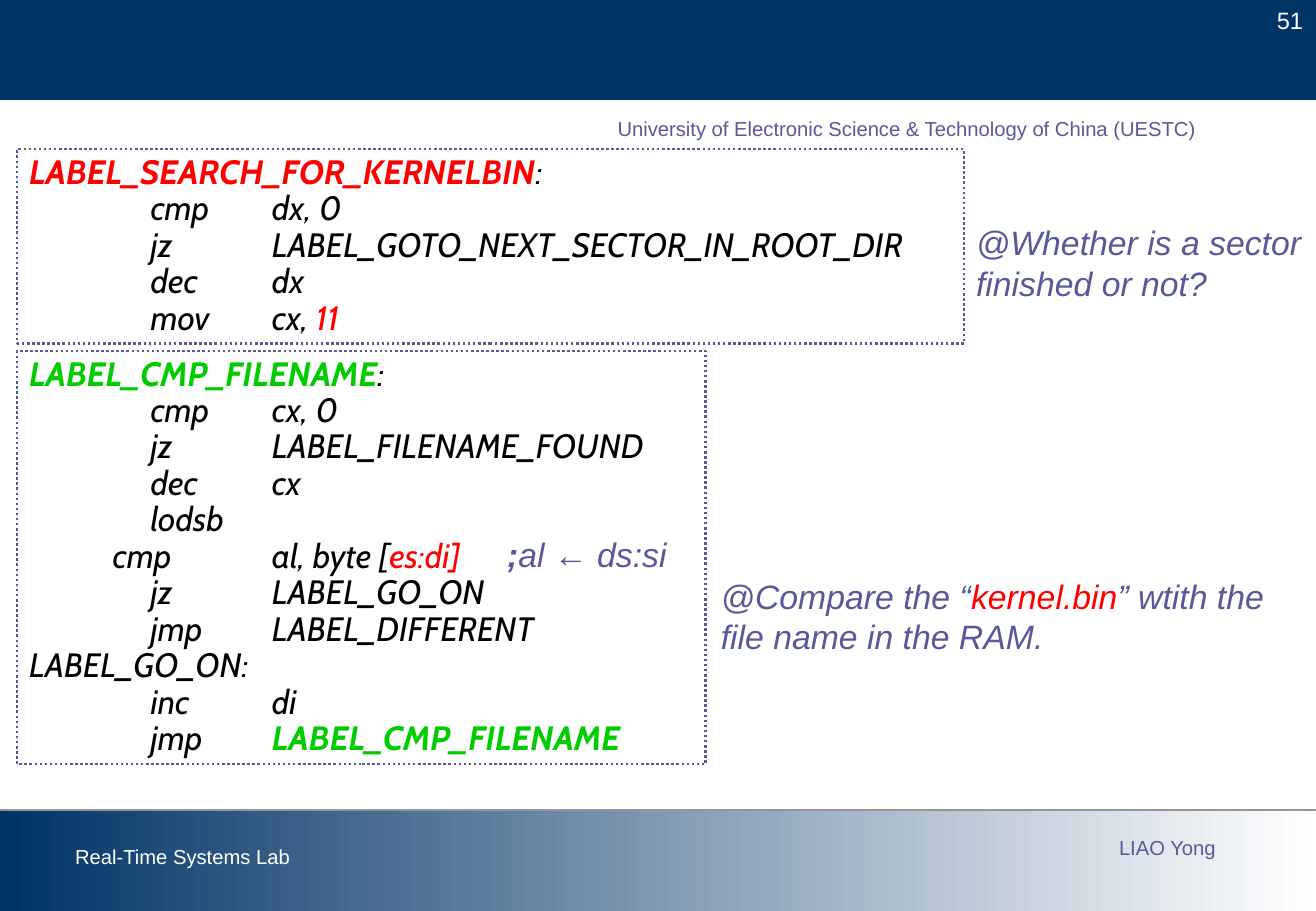
from dataclasses import dataclass

from lxml.etree import SubElement
from pptx import Presentation
from pptx.dml.color import RGBColor
from pptx.enum.dml import MSO_LINE_DASH_STYLE as Dash
from pptx.enum.shapes import MSO_CONNECTOR as Connector, MSO_SHAPE as Preset
from pptx.enum.text import MSO_ANCHOR as Anchor, PP_ALIGN as Align
from pptx.oxml.ns import qn
from pptx.slide import Slide
from pptx.util import Cm, Pt


@dataclass(frozen=True)
class Theme:
    navy: str = "003366"
    white: str = "FFFFFF"
    grey: str = "969696"
    violet: str = "575999"
    black: str = "000000"
    red: str = "FF0000"
    green: str = "00CC00"
    sans: str = "Arial"
    code: str = "Cabin"
    small: int = 12
    number: int = 14
    body: int = 20
    code_spacing: float = 0.9
    tab_stops: tuple[float, ...] = (2.54, 5.08)


THEME = Theme()


@dataclass(frozen=True)
class Area:
    left: float
    top: float
    width: float
    height: float

    def lengths(self) -> tuple[Cm, Cm, Cm, Cm]:
        return Cm(self.left), Cm(self.top), Cm(self.width), Cm(self.height)


@dataclass(frozen=True)
class Span:
    text: str
    color: str = THEME.violet
    bold: bool = False


@dataclass(frozen=True)
class TextBlock:
    area: Area
    lines: list[list[Span]]
    font: str = THEME.sans
    size: int = THEME.body
    italic: bool = True
    spacing: float = 1.0
    align: Align = Align.LEFT
    framed: bool = False
    wrap: bool = True


WIDTH, HEIGHT = 27.53, 19.05
HEADER_HEIGHT = 2.11
FOOTER = Area(0, 16.92, WIDTH, 2.13)
RULES = [(HEADER_HEIGHT, THEME.white), (16.94, THEME.grey)]


def label(area: Area, text: str, color: str = THEME.violet, size: int = THEME.small,
          align: Align = Align.LEFT, wrap: bool = False) -> TextBlock:
    return TextBlock(area, [[Span(text, color)]], size=size, italic=False,
                     align=align, wrap=wrap)


def code(text: str) -> list[Span]:
    return [Span(text, THEME.black)]


def code_label(name: str, color: str) -> list[Span]:
    return [Span(name, color, True), Span(":", THEME.black)]


def listing(area: Area, lines: list[list[Span]]) -> TextBlock:
    return TextBlock(area, lines, font=THEME.code, spacing=THEME.code_spacing, framed=True)


BLOCKS = [
    label(Area(25.91, 0, 1.6, 0.84), "51", THEME.white, THEME.number, Align.RIGHT, True),
    label(Area(1.32, 17.53, 5.13, 0.76), "Real-Time Systems Lab", THEME.white),
    label(Area(23.16, 17.35, 2.57, 0.76), "LIAO Yong"),
    label(Area(12.67, 2.31, 14.86, 0.76),
          "University of Electronic Science & Technology of China (UESTC)", wrap=True),
    listing(Area(0.36, 3.12, 19.81, 4.06), [
        code_label("LABEL_SEARCH_FOR_KERNELBIN", THEME.red),
        code("\tcmp\tdx, 0"),
        code("\tjz\tLABEL_GOTO_NEXT_SECTOR_IN_ROOT_DIR"),
        code("\tdec\tdx"),
        code("\tmov\tcx, ") + [Span("11", THEME.red)],
    ]),
    listing(Area(0.36, 7.34, 14.4, 8.64), [
        code_label("LABEL_CMP_FILENAME", THEME.green),
        code("\tcmp\tcx, 0"),
        code("\tjz\tLABEL_FILENAME_FOUND"),
        code("\tdec\tcx"),
        code("\tlodsb"),
        code("           cmp\tal, byte [") + [Span("es:di]", THEME.red)],
        code("\tjz\tLABEL_GO_ON"),
        code("\tjmp\tLABEL_DIFFERENT"),
        code("LABEL_GO_ON:"),
        code("\tinc\tdi"),
        code("\tjmp\t") + [Span("LABEL_CMP_FILENAME", THEME.green, True)],
    ]),
    TextBlock(Area(20.17, 4.52, 7.36, 1.96),
              [[Span("@Whether is a sector finished or not?")]]),
    TextBlock(Area(14.83, 11.91, 11.94, 1.96), [[
        Span("@Compare the “"),
        Span("kernel.bin", THEME.red),
        Span("” wtith the file name in the RAM."),
    ]]),
    TextBlock(Area(10.36, 11.13, 4.19, 1.02),
              [[Span(";", bold=True), Span("al ← ds:si")]], spacing=THEME.code_spacing),
]


def rgb(color: str) -> RGBColor:
    return RGBColor.from_string(color)


def add_band(page: Slide, area: Area, colors: list[str]) -> None:
    band = page.shapes.add_shape(Preset.RECTANGLE, *area.lengths())
    band.shadow.inherit = False
    band.line.fill.background()
    if len(colors) == 1:
        band.fill.solid()
        band.fill.fore_color.rgb = rgb(colors[0])
        return
    band.fill.gradient()
    band.fill.gradient_angle = 0
    for stop, color in zip(band.fill.gradient_stops, colors):
        stop.color.rgb = rgb(color)


def add_rule(page: Slide, top: float, color: str) -> None:
    rule = page.shapes.add_connector(Connector.STRAIGHT, 0, Cm(top), Cm(WIDTH), Cm(top))
    rule.line.color.rgb = rgb(color)
    rule.line.width = Pt(0.75)
    SubElement(rule._element.spPr, qn("a:effectLst"))


def add_block(page: Slide, block: TextBlock) -> None:
    if block.framed:
        box = page.shapes.add_shape(Preset.RECTANGLE, *block.area.lengths())
        box.shadow.inherit = False
        box.fill.background()
        box.line.color.rgb = rgb(THEME.violet)
        box.line.width = Pt(1.5)
        box.line.dash_style = Dash.ROUND_DOT
    else:
        box = page.shapes.add_textbox(*block.area.lengths())
    frame = box.text_frame
    frame.word_wrap = block.wrap
    frame.vertical_anchor = Anchor.TOP
    for index, line in enumerate(block.lines):
        para = frame.add_paragraph() if index else frame.paragraphs[0]
        para.alignment = block.align
        para.line_spacing = block.spacing
        if block.framed:
            tabs = SubElement(para._p.get_or_add_pPr(), qn("a:tabLst"))
            for stop in THEME.tab_stops:
                SubElement(tabs, qn("a:tab"), pos=str(int(Cm(stop))), algn="l")
        for span in line:
            run = para.add_run()
            run.text = span.text
            run.font.name = block.font
            run.font.size = Pt(block.size)
            run.font.bold = span.bold
            run.font.italic = block.italic
            run.font.color.rgb = rgb(span.color)


def main() -> None:
    deck = Presentation()
    deck.slide_width, deck.slide_height = Cm(WIDTH), Cm(HEIGHT)
    page = deck.slides.add_slide(deck.slide_layouts.get_by_name("Blank"))
    add_band(page, Area(0, 0, WIDTH, HEADER_HEIGHT), [THEME.navy])
    add_band(page, FOOTER, [THEME.navy, THEME.white])
    for top, color in RULES:
        add_rule(page, top, color)
    for block in BLOCKS:
        add_block(page, block)
    deck.save("out.pptx")


if __name__ == "__main__":
    main()
